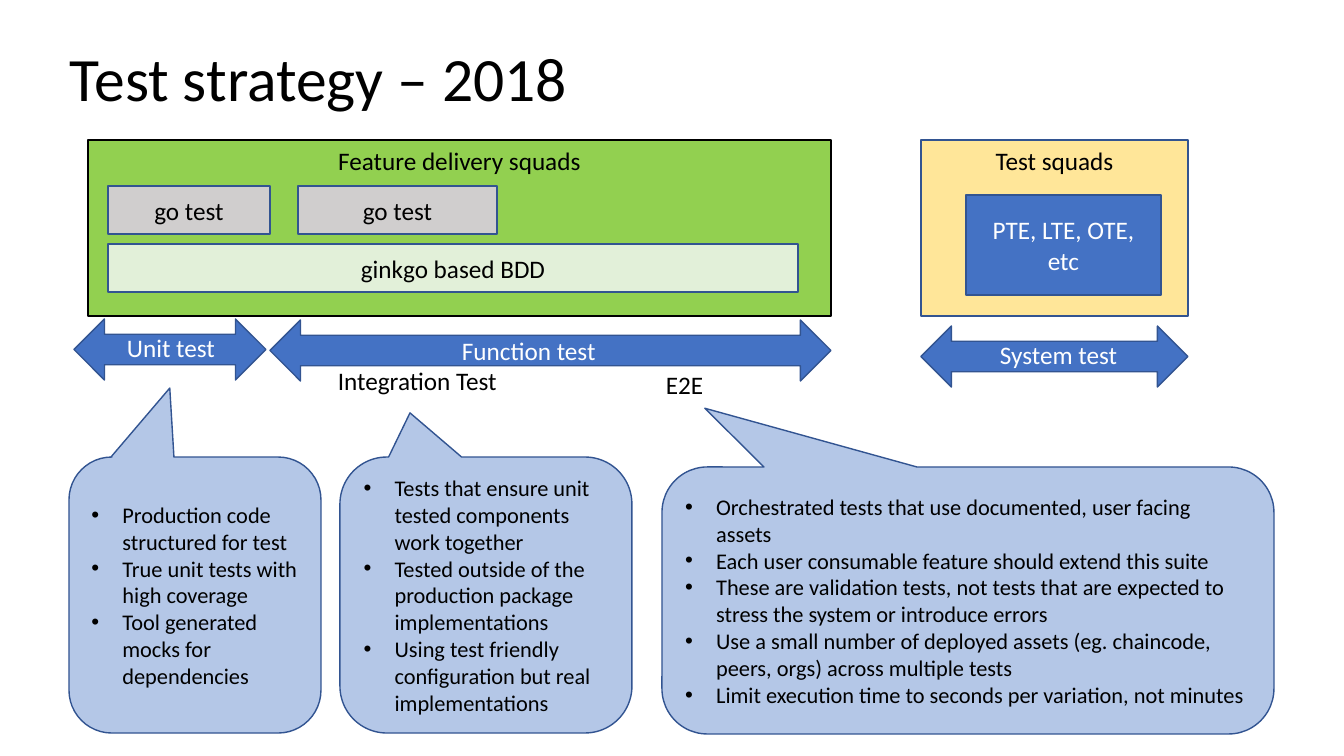
from typing import NamedTuple

from lxml.etree import SubElement
from pptx import Presentation
from pptx.dml.color import RGBColor
from pptx.enum.shapes import MSO_SHAPE
from pptx.enum.text import MSO_ANCHOR, PP_ALIGN
from pptx.oxml.ns import qn
from pptx.util import Emu, Pt

SCALE = 914400 / 100.8
BLACK, WHITE = "000000", "FFFFFF"
BLUE, EDGE, PALE = "4472C4", "325491", "B4C7E7"
GREEN, MINT, GREY, GOLD = "92D050", "E2F0D9", "D0CECE", "FFE699"
TOP, MIDDLE, BOTTOM = MSO_ANCHOR.TOP, MSO_ANCHOR.MIDDLE, MSO_ANCHOR.BOTTOM


class Area(NamedTuple):
    left: int
    top: int
    width: int
    height: int


class Box(NamedTuple):
    area: Area
    text: str
    fill: str
    color: str = BLACK
    edge: str = EDGE
    anchor: MSO_ANCHOR = MIDDLE


class Arrow(NamedTuple):
    area: Area


class Label(NamedTuple):
    left: int
    top: int
    width: int
    text: str
    color: str = BLACK


class Callout(NamedTuple):
    area: Area
    tip: tuple[float, float]
    points: list[str]


def px(length: float) -> Emu:
    return Emu(round(length * SCALE))


def place(area: Area) -> list[Emu]:
    return [px(side) for side in area]


def paint(target, color: str) -> None:
    target.solid()
    target.fore_color.rgb = RGBColor.from_string(color)


def write(shape, *lines: str, size: int = 18, color: str = BLACK,
          align=PP_ALIGN.LEFT, anchor=TOP, bullet: bool = False,
          spacing: float = 1.0) -> None:
    frame = shape.text_frame
    frame.word_wrap = True
    frame.vertical_anchor = anchor
    frame.text = "\n".join(lines)
    for para in frame.paragraphs:
        para.alignment = align
        para.line_spacing = spacing
        para.font.size = Pt(size)
        para.font.name = "Calibri"
        paint(para.font.fill, color)
        if bullet:
            props = para._p.get_or_add_pPr()
            props.set("marL", str(px(31)))
            props.set("indent", str(-px(31)))
            SubElement(props, qn("a:buFont")).set("typeface", "Arial")
            SubElement(props, qn("a:buChar")).set("char", "•")
            heir = props.find(qn("a:defRPr"))
            if heir is not None:
                props.append(heir)
        for run in para.runs:
            run.font.size = Pt(size)
            run.font.name = "Calibri"
            paint(run.font.fill, color)


def draw(slide, kind: MSO_SHAPE, area: Area, fill: str, edge: str = EDGE):
    shape = slide.shapes.add_shape(kind, *place(area))
    shape.shadow.inherit = False
    paint(shape.fill, fill)
    paint(shape.line.fill, edge)
    shape.line.width = Pt(1)
    return shape


def add_box(slide, box: Box) -> None:
    shape = draw(slide, MSO_SHAPE.RECTANGLE, box.area, box.fill, box.edge)
    write(shape, box.text, color=box.color, align=PP_ALIGN.CENTER,
          anchor=box.anchor)


def add_arrow(slide, arrow: Arrow) -> None:
    draw(slide, MSO_SHAPE.LEFT_RIGHT_ARROW, arrow.area, BLUE)


def add_label(slide, label: Label) -> None:
    area = Area(label.left, label.top, label.width, 40)
    shape = slide.shapes.add_textbox(*place(area))
    write(shape, label.text, color=label.color)


def add_callout(slide, note: Callout) -> None:
    shape = draw(slide, MSO_SHAPE.ROUNDED_RECTANGULAR_CALLOUT, note.area, PALE)
    for index, value in enumerate((*note.tip, 0.17)):
        shape.adjustments[index] = value
    write(shape, *note.points, size=16, anchor=MIDDLE, bullet=True)


def add_title(slide, text: str) -> None:
    shape = slide.shapes.add_textbox(*place(Area(60, -1, 1145, 126)))
    shape.text_frame.margin_top = shape.text_frame.margin_bottom = px(10)
    write(shape, text, size=44, anchor=BOTTOM, spacing=0.9)


BOXES = [
    Box(Area(921, 140, 267, 176), "Test squads", GOLD, anchor=TOP),
    Box(Area(966, 195, 195, 100), "PTE, LTE, OTE, etc", BLUE, WHITE),
    Box(Area(88, 140, 743, 176), "Feature delivery squads", GREEN,
        edge=BLACK, anchor=TOP),
    Box(Area(108, 244, 690, 48), "ginkgo based BDD", MINT),
    Box(Area(108, 186, 162, 48), "go test", GREY),
    Box(Area(298, 186, 199, 48), "go test", GREY),
]
ARROWS = [
    Arrow(Area(74, 319, 192, 61)),
    Arrow(Area(270, 320, 561, 61)),
    Arrow(Area(921, 326, 267, 61)),
]
LABELS = [
    Label(117, 327, 168, "Unit test", WHITE),
    Label(452, 330, 168, "Function test", WHITE),
    Label(990, 334, 168, "System test", WHITE),
    Label(328, 360, 210, "Integration Test"),
    Label(656, 364, 146, "E2E"),
]
CALLOUTS = [
    Callout(Area(69, 457, 252, 276), (-0.1, -0.75), [
        "Production code structured for test",
        "True unit tests with high coverage",
        "Tool generated mocks for dependencies",
    ]),
    Callout(Area(340, 457, 292, 276), (-0.26, -0.66), [
        "Tests that ensure unit tested components work together",
        "Tested outside of the production package implementations",
        "Using test friendly configuration but real implementations",
    ]),
    Callout(Area(662, 467, 612, 267), (-0.43, -0.72), [
        "Orchestrated tests that use documented, user facing assets",
        "Each user consumable feature should extend this suite",
        "These are validation tests, not tests that are expected to "
        "stress the system or introduce errors",
        "Use a small number of deployed assets (eg. chaincode, peers, orgs) "
        "across multiple tests",
        "Limit execution time to seconds per variation, not minutes",
    ]),
]

deck = Presentation()
deck.slide_width, deck.slide_height = px(1344), px(756)
slide = deck.slides.add_slide(deck.slide_layouts[6])
add_title(slide, "Test strategy – 2018")
for add, items in ((add_box, BOXES), (add_arrow, ARROWS),
                   (add_callout, CALLOUTS), (add_label, LABELS)):
    for item in items:
        add(slide, item)
deck.save("out.pptx")
